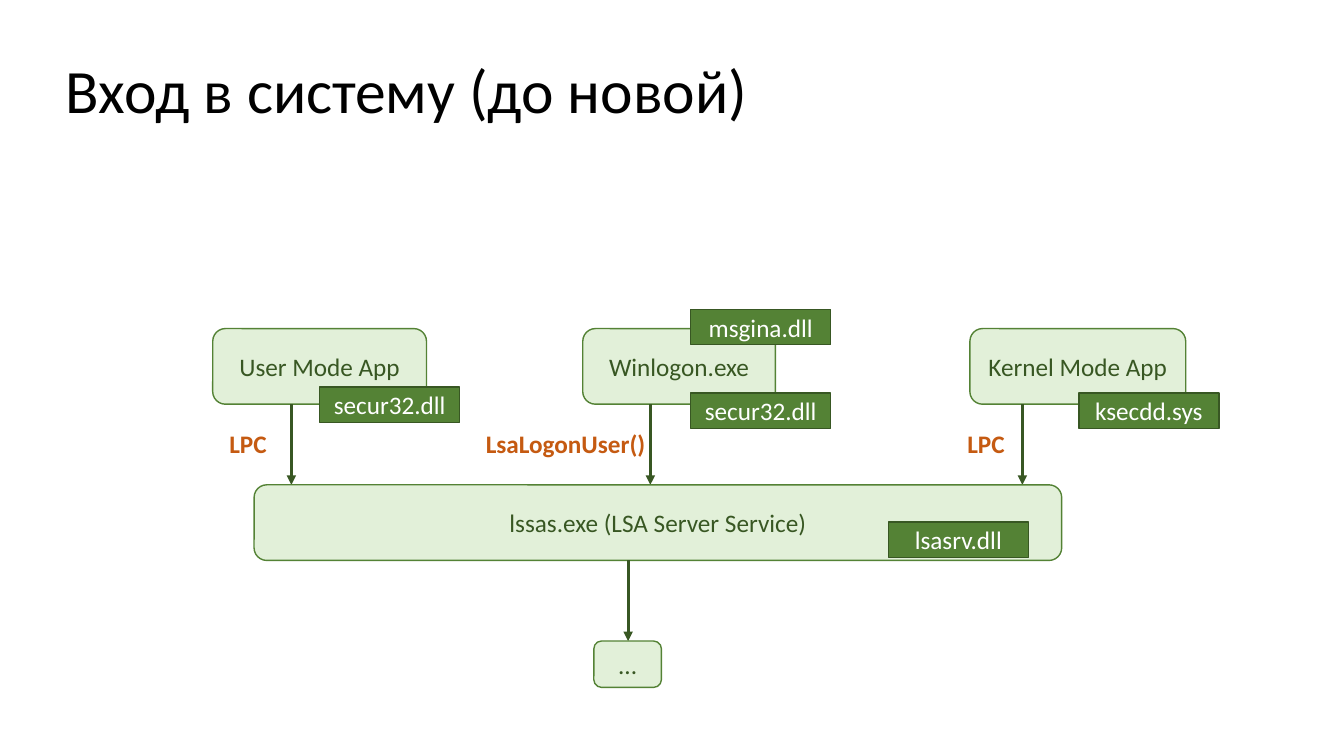
from lxml import etree
from pptx import Presentation
from pptx.dml.color import RGBColor
from pptx.enum.shapes import MSO_CONNECTOR, MSO_SHAPE
from pptx.enum.text import MSO_ANCHOR, PP_ALIGN
from pptx.oxml.ns import qn
from pptx.util import Pt

PX = 9144
FONT = "Calibri"
PALE = RGBColor(0xE2, 0xF0, 0xD9)
GREEN = RGBColor(0x54, 0x82, 0x35)
DARK = RGBColor(0x38, 0x57, 0x23)
RUST = RGBColor(0xC5, 0x5A, 0x11)
WHITE = RGBColor(0xFF, 0xFF, 0xFF)
BLACK = RGBColor(0, 0, 0)
ROUND = MSO_SHAPE.ROUNDED_RECTANGLE
RECT = MSO_SHAPE.RECTANGLE
STRAIGHT = MSO_CONNECTOR.STRAIGHT
MIDDLE = MSO_ANCHOR.MIDDLE
TOP = MSO_ANCHOR.TOP
LEFT = PP_ALIGN.LEFT
CENTER = PP_ALIGN.CENTER

LIB_W, LIB_H = 139, 35
CALL_W, CALL_H = 300, 40
ROW_Y, ROW_H = 326, 75
LSA_X, LSA_Y, LSA_W = 252, 481, 801
APPS = [
    ("User Mode App", 211, 212, [("secur32.dll", 106, 58)], 78, "LPC", -43),
    ("Winlogon.exe", 578, 191,
     [("secur32.dll", 107, 64), ("msgina.dll", 107, -19)], 67, "LsaLogonUser()", -84),
    ("Kernel Mode App", 962, 214, [("ksecdd.sys", 108, 64)], 52, "LPC", -36),
]


def emu(*sizes):
    return [size * PX for size in sizes]


def write(shape, text, color, size=18, bold=False, align=CENTER, anchor=MIDDLE):
    frame = shape.text_frame
    frame.word_wrap = True
    frame.vertical_anchor = anchor
    frame.text = text
    para = frame.paragraphs[0]
    para.alignment = align
    font = para.runs[0].font
    font.name = FONT
    font.size = Pt(size)
    font.bold = bold
    font.color.rgb = color
    return para


def block(slide, kind, box, text, fill, edge, ink):
    shape = slide.shapes.add_shape(kind, *emu(*box))
    shape.shadow.inherit = False
    shape.fill.solid()
    shape.fill.fore_color.rgb = fill
    shape.line.color.rgb = edge
    shape.line.width = Pt(1)
    write(shape, text, ink)


def node(slide, box, text):
    block(slide, ROUND, box, text, PALE, GREEN, DARK)


def lib(slide, x, y, text):
    block(slide, RECT, (x, y, LIB_W, LIB_H), text, GREEN, DARK, WHITE)


def arrow(slide, x, top, end):
    link = slide.shapes.add_connector(STRAIGHT, *emu(x, top, x, end))
    link.line.color.rgb = DARK
    link.line.width = Pt(2.25)
    props = link._element.spPr
    tail = etree.SubElement(props.find(qn("a:ln")), qn("a:tailEnd"))
    tail.set("type", "triangle")
    etree.SubElement(props, qn("a:effectLst"))


def title(slide, box, text):
    shape = slide.shapes.add_textbox(*emu(*box))
    para = write(shape, text, BLACK, size=44, align=LEFT)
    para.line_spacing = 0.9


def app(slide, box, text, libs, stem, call, shift):
    x, y, w, h = box
    node(slide, box, text)
    for name, dx, dy in libs:
        lib(slide, x + dx, y + dy, name)
    arrow(slide, x + stem, y + h, LSA_Y)
    left = x + stem + shift - CALL_W // 2
    label = slide.shapes.add_textbox(*emu(left, y + h + 19, CALL_W, CALL_H))
    write(label, call, RUST, bold=True, anchor=TOP)


def server(slide, box):
    x, y, w, h = box
    node(slide, box, "lssas.exe (LSA Server Service)")
    lib(slide, x + 629, y + 37, "lsasrv.dll")
    stem = x + 371
    end = y + h + 80
    arrow(slide, stem, y + h, end)
    node(slide, (stem - 34, end, 67, 46), "...")


def main():
    deck = Presentation()
    deck.slide_width, deck.slide_height = emu(1333, 750)
    slide = deck.slides.add_slide(deck.slide_layouts[6])
    title(slide, (55, 20, 1150, 145), "Вход в систему (до новой)")
    for text, x, w, libs, stem, call, shift in APPS:
        app(slide, (x, ROW_Y, w, ROW_H), text, libs, stem, call, shift)
    server(slide, (LSA_X, LSA_Y, LSA_W, ROW_H))
    deck.save("out.pptx")


if __name__ == "__main__":
    main()
